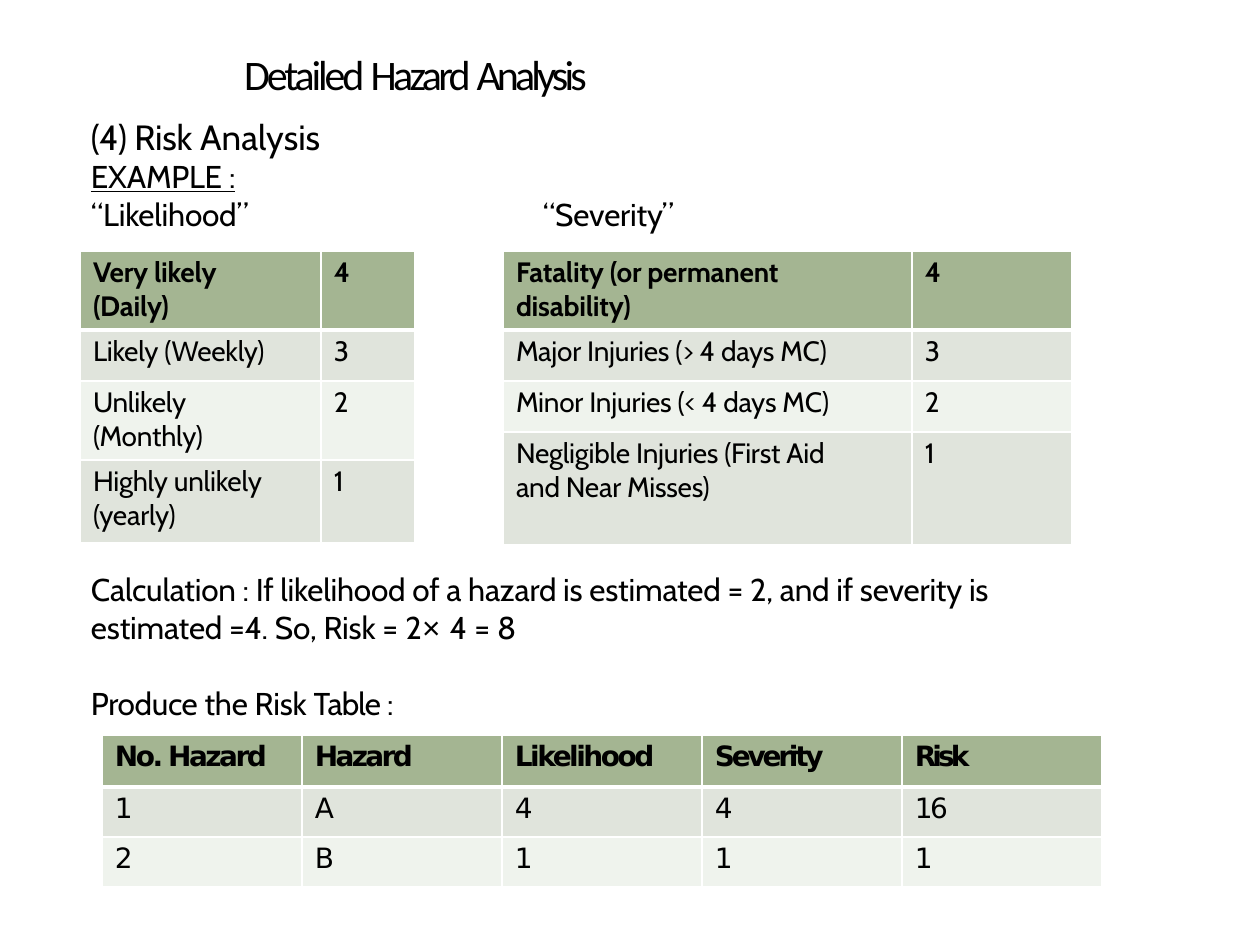
"""Build the Detailed Hazard Analysis slide with its three risk tables."""
from lxml import etree
from pptx import Presentation
from pptx.dml.color import RGBColor
from pptx.enum.text import MSO_ANCHOR, PP_ALIGN
from pptx.oxml.ns import qn
from pptx.util import Emu, Pt

CENTER, LEFT = PP_ALIGN.CENTER, PP_ALIGN.LEFT
TOP, MIDDLE = MSO_ANCHOR.TOP, MSO_ANCHOR.MIDDLE
PX = 914400 // 126
BLACK, WHITE = "000000", "FFFFFF"
HEADER_FILL, BAND_FILLS = "A4B592", ("E0E4DC", "EFF3ED")

TITLE = [("Detailed ", -1.8), ("Hazard ", -2.1), ("Analysis", -2.2)]
INTRO = [
    {"runs": [("(4) Risk ", -0.1), ("Analysis", 0)], "size": 20},
    {"runs": [("EXAMPLE ", -0.1), (":", 0)], "underline": True},
    {"runs": [("“Likelihood”\t“Severity”", -0.1)], "tab": 452},
]
CALCULATION = [
    {"runs": [("Calculation : If likelihood of a hazard is estimated = 2, "
               "and if severity is", -0.1)]},
    {"runs": [("estimated =4. So, Risk ", -0.1), ("= ", 0), ("2", 0.1),
              ("× ", 0.1, "Arial"), ("4 = 8", 0)]},
    {"runs": [("Produce ", -0.2), ("the Risk ", -0.1), ("Table ", -0.5), (":", 0)],
     "before": 22},
]
TABLES = [
    {"at": (80, 251), "columns": [241, 94], "rows": [79, 51, 79, 83],
     "font": "Cabin", "inset": 5, "header_tracking": [-0.1, 0], "tracking": -0.1,
     "cells": [["Very likely\v(Daily)", "4"],
               ["Likely (Weekly)", "3"],
               ["Unlikely\v(Monthly)", "2"],
               ["Highly unlikely\v(yearly)", "1"]]},
    {"at": (503, 251), "columns": [409, 160], "rows": [79, 51, 51, 113],
     "font": "Cabin", "inset": 5, "header_tracking": [-0.1, 0], "tracking": -0.1,
     "cells": [["Fatality (or permanent\vdisability)", "4"],
               ["Major Injuries (> 4 days MC)", "3"],
               ["Minor Injuries (< 4 days MC)", "2"],
               ["Negligible Injuries (First Aid\vand Near Misses)", "1"]]},
    {"at": (102, 735), "columns": [200] * 5, "rows": [52, 50, 50],
     "font": "DejaVu Sans", "inset": 6,
     "header_tracking": [-1.4, -1.5, -1.4, -1.8, -2.2], "tracking": -1.4,
     "cells": [["No. Hazard", "Hazard", "Likelihood", "Severity", "Risk"],
               ["1", "A", "4", "4", "16"],
               ["2", "B", "1", "1", "1"]]},
]


def px(value):
    return Emu(value * PX)


def color(value):
    return RGBColor.from_string(value)


def set_font(font, name, size, bold=False):
    font.name, font.size, font.bold = name, Pt(size), bold
    font.color.rgb = color(BLACK)


def set_tracking(span, points):
    span._r.get_or_add_rPr().set("spc", str(round(points * 100)))


def add_runs(para, runs):
    for text, tracking, *font_name in runs:
        span = para.add_run()
        span.text = text
        set_tracking(span, tracking)
        if font_name:
            span.font.name = font_name[0]


def set_frame(frame, left, top, anchor):
    frame.margin_left, frame.margin_top = px(left), px(top)
    frame.margin_right = frame.margin_bottom = 0
    frame.vertical_anchor = anchor
    frame.word_wrap = True


def add_text(page, left, top, width, height, lines):
    box = page.shapes.add_textbox(px(left), px(top), px(width), px(height))
    frame = box.text_frame
    set_frame(frame, 0, 2, TOP)
    for index, line in enumerate(lines):
        para = frame.add_paragraph() if index else frame.paragraphs[0]
        if "tab" in line:
            tabs = etree.SubElement(para._p.get_or_add_pPr(), qn("a:tabLst"))
            etree.SubElement(tabs, qn("a:tab"), pos=str(px(line["tab"])), algn="l")
        para.alignment = LEFT
        if "before" in line:
            para.space_before = Pt(line["before"])
        add_runs(para, line["runs"])
        set_font(para.font, "Cabin", line.get("size", 18))
        if line.get("underline"):
            para.font.underline = True


def set_borders(cell, widths):
    properties = cell._tc.get_or_add_tcPr()
    for index, (side, width) in enumerate(widths.items()):
        line = etree.Element(qn(f"a:ln{side}"), w=str(Pt(width)))
        fill = etree.SubElement(line, qn("a:solidFill"))
        etree.SubElement(fill, qn("a:srgbClr"), val=WHITE)
        properties.insert(index, line)


def add_table(page, data):
    rows, columns = data["rows"], data["columns"]
    left, top = data["at"]
    table = page.shapes.add_table(
        len(rows), len(columns), px(left), px(top),
        px(sum(columns)), px(sum(rows))).table
    table.first_row = table.horz_banding = False
    for column, width in zip(table.columns, columns):
        column.width = px(width)
    for row, (height, texts) in enumerate(zip(rows, data["cells"])):
        table.rows[row].height = px(height)
        header = row == 0
        for column, text in enumerate(texts):
            cell = table.cell(row, column)
            cell.margin_left, cell.margin_top = px(13), px(data["inset"])
            cell.margin_right = cell.margin_bottom = 0
            cell.fill.solid()
            cell.fill.fore_color.rgb = color(
                HEADER_FILL if header else BAND_FILLS[(row - 1) % 2])
            set_borders(cell, {"L": 1, "R": 1, "T": 3 if row == 1 else 1,
                               "B": 3 if header else 1})
            para = cell.text_frame.paragraphs[0]
            para.text = text
            set_font(para.font, data["font"], 16, header)
            for span in para.runs:
                set_tracking(span, data["header_tracking"][column]
                             if header else data["tracking"])


def main():
    deck = Presentation()
    deck.slide_width, deck.slide_height = px(1260), px(945)
    page = deck.slides.add_slide(deck.slide_layouts[5])
    title = page.shapes.title
    title.left, title.top, title.width, title.height = map(px, (78, 46, 591, 54))
    set_frame(title.text_frame, 84, 1, MIDDLE)
    para = title.text_frame.paragraphs[0]
    para.alignment = CENTER
    add_runs(para, TITLE)
    set_font(para.font, "Calibri", 24)
    add_text(page, 91, 113, 601, 121, INTRO)
    add_text(page, 91, 568, 1017, 155, CALCULATION)
    for data in TABLES:
        add_table(page, data)
    deck.save("out.pptx")


if __name__ == "__main__":
    main()
